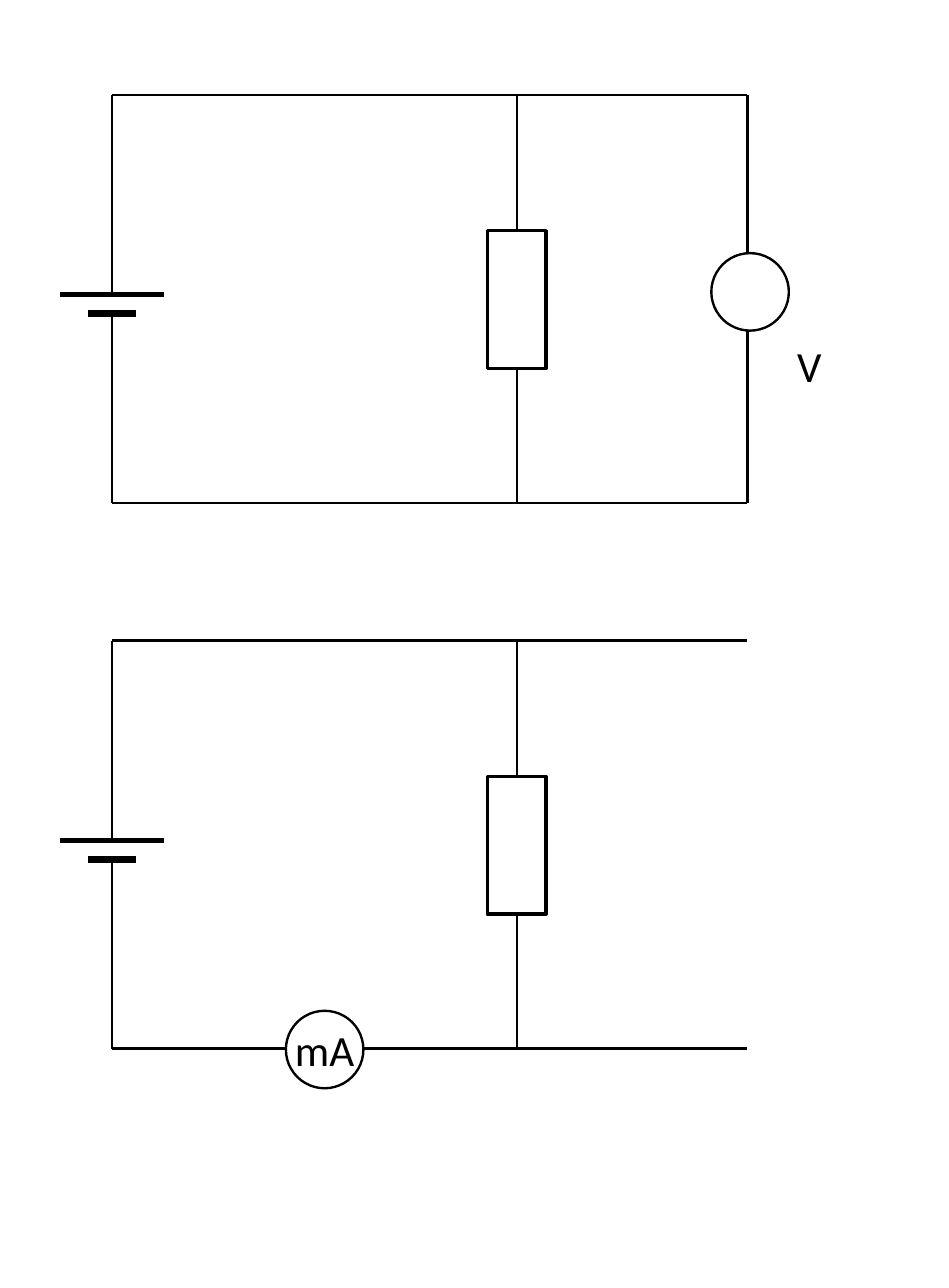
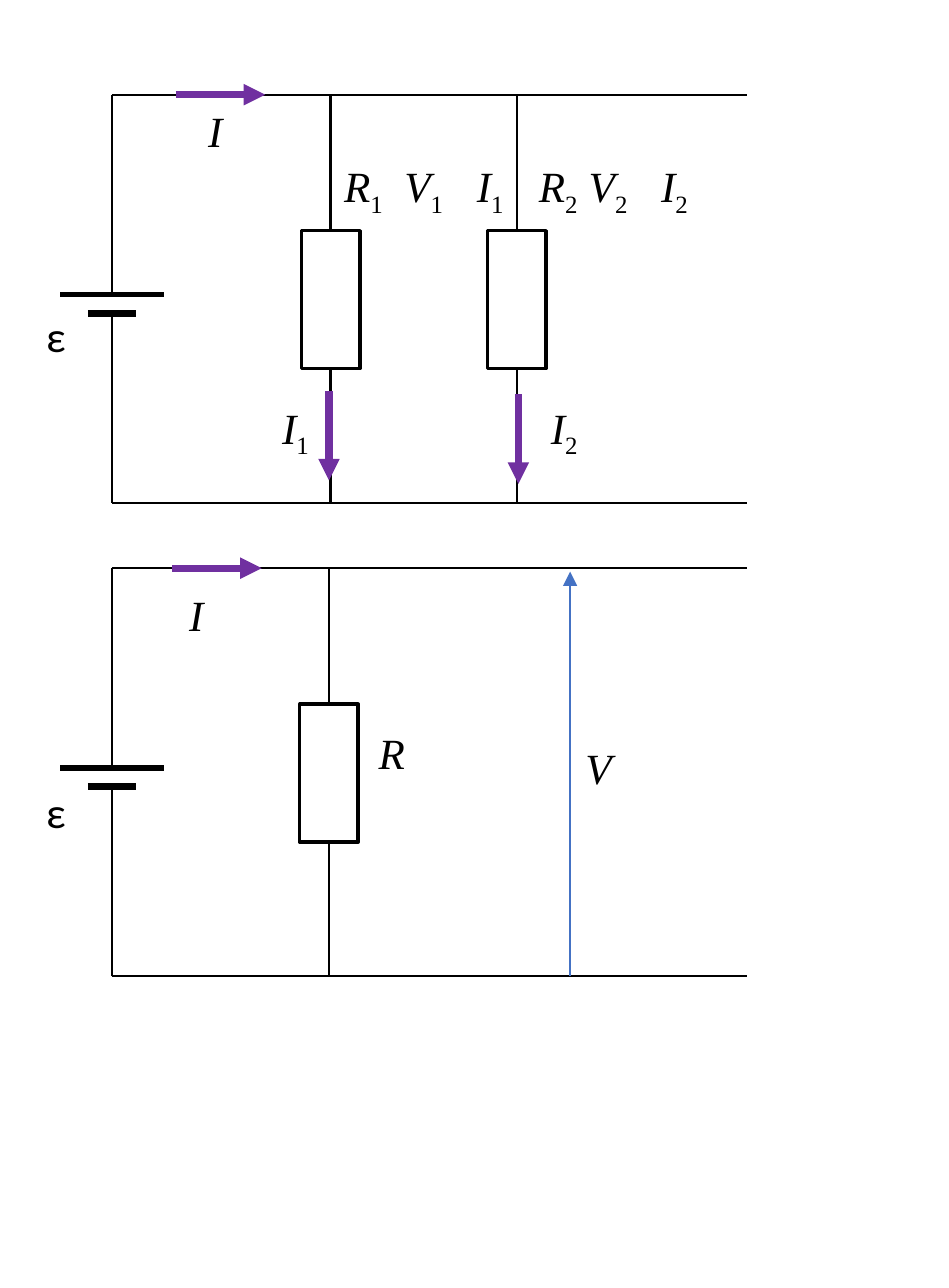
"""Draw two slides of simple cell and resistor circuits."""
from dataclasses import dataclass
from pptx import Presentation
from pptx.dml.color import RGBColor
from pptx.enum.shapes import MSO_CONNECTOR as Conn, MSO_SHAPE as Geo
from pptx.enum.text import MSO_ANCHOR as Anchor, PP_ALIGN as Align
from pptx.oxml.ns import qn
from pptx.util import Inches, Pt
from lxml.etree import SubElement

BLACK, WHITE, PURPLE, BLUE = "000000", "FFFFFF", "7030A0", "4472C4"
SANS, SERIF = "Calibri", "Times New Roman"
LEFT, RIGHT, HEIGHT = 0.65, 4.34, 2.37
RES_W, RES_H, RES_DROP = 0.34, 0.8, 0.79
METER = 0.45
ARROW = 0.52


@dataclass(frozen=True)
class Plate:
    drop: float
    half: float
    weight: float


@dataclass(frozen=True)
class Label:
    texts: tuple[str, ...]
    x: float
    y: float
    w: float
    font: str = SERIF
    tabs: tuple[float, ...] = ()


@dataclass(frozen=True)
class Arrow:
    x1: float
    y1: float
    x2: float
    y2: float
    color: str = PURPLE
    weight: float = 3


@dataclass(frozen=True)
class Circuit:
    top: float
    resistors: tuple[float, ...]

    @property
    def bottom(self) -> float:
        return self.top + HEIGHT


PLATES = (Plate(1.16, 0.3, 2.25), Plate(1.27, 0.14, 3))


def rgb(color: str) -> RGBColor:
    return RGBColor.from_string(color)


def add_line(slide, x1: float, y1: float, x2: float, y2: float,
             weight: float = 1, color: str = BLACK):
    c = slide.shapes.add_connector(
        Conn.STRAIGHT, Inches(x1), Inches(y1), Inches(x2), Inches(y2))
    c.line.color.rgb = rgb(color)
    c.line.width = Pt(weight)
    SubElement(c._element.spPr, qn("a:effectLst"))
    return c


def add_arrow(slide, a: Arrow) -> None:
    c = add_line(slide, a.x1, a.y1, a.x2, a.y2, a.weight, a.color)
    SubElement(c._element.spPr.find(qn("a:ln")), qn("a:tailEnd"), type="triangle")


def add_outline(slide, geo, x: float, y: float, w: float, h: float, weight: float):
    sp = slide.shapes.add_shape(geo, Inches(x), Inches(y), Inches(w), Inches(h))
    sp.shadow.inherit = False
    sp.fill.solid()
    sp.fill.fore_color.rgb = rgb(WHITE)
    sp.line.color.rgb = rgb(BLACK)
    sp.line.width = Pt(weight)
    return sp


def add_run(p, text: str, font: str, italic: bool = False, sub: bool = False) -> None:
    r = p.add_run()
    r.text = text
    r.font.size = Pt(18)
    r.font.name = font
    r.font.italic = italic
    r.font.color.rgb = rgb(BLACK)
    if sub:
        r._r.get_or_add_rPr().set("baseline", "-25000")


def add_label(slide, label: Label) -> None:
    sp = slide.shapes.add_textbox(
        Inches(label.x), Inches(label.y), Inches(label.w), Inches(0.4))
    tf = sp.text_frame
    tf.word_wrap = bool(label.tabs)
    p = tf.paragraphs[0]
    if label.tabs:
        stops = SubElement(p._p.get_or_add_pPr(), qn("a:tabLst"))
        for pos in label.tabs:
            SubElement(stops, qn("a:tab"), pos=str(Inches(pos)), algn="l")
    for i, text in enumerate(label.texts):
        sub = i % 2 == 1
        add_run(p, text, label.font, label.font == SERIF and not sub, sub)


def add_meter(slide, x: float, y: float, text: str = "") -> None:
    sp = add_outline(slide, Geo.OVAL, x, y, METER, METER, 1)
    if text:
        tf = sp.text_frame
        tf.margin_left = tf.margin_right = tf.margin_top = tf.margin_bottom = 0
        tf.word_wrap = False
        tf.vertical_anchor = Anchor.MIDDLE
        p = tf.paragraphs[0]
        p.alignment = Align.CENTER
        add_run(p, text, SANS)


def add_resistor(slide, x: float, circuit: Circuit) -> None:
    y = circuit.top + RES_DROP
    sp = add_outline(slide, Geo.RECTANGLE, x - RES_W / 2, y, RES_W, RES_H, 1.5)
    add_line(slide, x, circuit.top, x, y).end_connect(sp, 0)
    add_line(slide, x, circuit.bottom, x, y + RES_H).end_connect(sp, 2)


def add_circuit(slide, circuit: Circuit) -> None:
    for rail in (circuit.top, circuit.bottom):
        add_line(slide, LEFT, rail, RIGHT, rail)
    for plate, rail in zip(PLATES, (circuit.top, circuit.bottom)):
        y = circuit.top + plate.drop
        add_line(slide, LEFT - plate.half, y, LEFT + plate.half, y, plate.weight)
        add_line(slide, LEFT, rail, LEFT, y)
    for x in circuit.resistors:
        add_resistor(slide, x, circuit)


def build_meters(slide) -> None:
    voltage, current = Circuit(0.55, (3.0,)), Circuit(3.72, (3.0,))
    for circuit in (voltage, current):
        add_circuit(slide, circuit)
    add_line(slide, RIGHT, voltage.top, RIGHT, voltage.bottom)
    add_meter(slide, 4.13, 1.47)
    add_label(slide, Label(("V",), 4.53, 1.92, 0.35, SANS))
    add_meter(slide, 1.66, 5.87, "mA")


def build_parallel(slide) -> None:
    pair, single = Circuit(0.55, (1.92, 3.0)), Circuit(3.3, (1.91,))
    for circuit in (pair, single):
        add_circuit(slide, circuit)
    arrows = (
        Arrow(1.02, pair.top, 1.02 + ARROW, pair.top),
        Arrow(1.91, 2.27, 1.91, 2.27 + ARROW),
        Arrow(3.01, 2.29, 3.01, 2.29 + ARROW),
        Arrow(1.0, single.top, 1.0 + ARROW, single.top),
        Arrow(3.31, single.bottom, 3.31, 3.32, BLUE, 0.5),
    )
    for arrow in arrows:
        add_arrow(slide, arrow)
    labels = (
        Label(("ε",), 0.17, 1.75, 0.31, SANS),
        Label(("I",), 1.11, 0.56, 0.29),
        Label(("R", "1", "\tV", "1", "\tI", "1"), 1.9, 0.88, 1.2, tabs=(0.35, 0.77)),
        Label(("R", "2", "\tV", "2", "\tI", "2"), 3.03, 0.88, 1.2, tabs=(0.29, 0.71)),
        Label(("I", "1"), 1.54, 2.28, 0.37),
        Label(("I", "2"), 3.1, 2.28, 0.37),
        Label(("ε",), 0.17, 4.51, 0.31, SANS),
        Label(("I",), 1.0, 3.37, 0.29),
        Label(("R",), 2.1, 4.17, 0.36),
        Label(("V",), 3.3, 4.26, 0.36),
    )
    for label in labels:
        add_label(slide, label)


def main() -> None:
    prs = Presentation()
    prs.slide_width, prs.slide_height = Inches(5.51), Inches(7.48)
    for build in (build_meters, build_parallel):
        build(prs.slides.add_slide(prs.slide_layouts[6]))
    prs.save("out.pptx")


if __name__ == "__main__":
    main()
